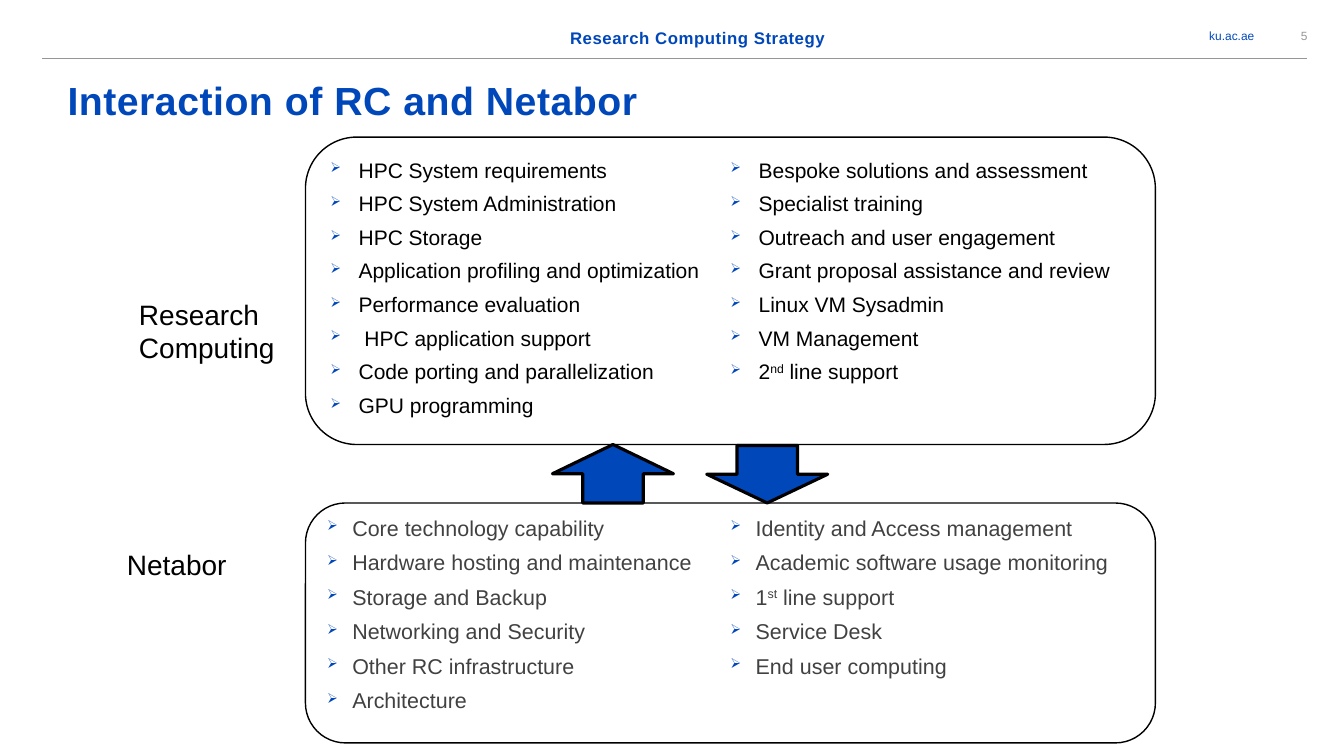
from lxml import etree
from pptx import Presentation
from pptx import util as u
from pptx.dml.color import RGBColor
from pptx.enum import shapes, text
from pptx.oxml import ns

BLUE = RGBColor(0x00, 0x47, 0xBA)
GREY = RGBColor(0x96, 0x96, 0x9A)
DARK = RGBColor(0x41, 0x41, 0x41)
BLACK = RGBColor(0x00, 0x00, 0x00)

LEFT, CENTER, RIGHT = text.PP_ALIGN.LEFT, text.PP_ALIGN.CENTER, text.PP_ALIGN.RIGHT
PANEL_LEFT, PANEL_WIDTH = 3.03, 8.43
NO_INSETS = dict.fromkeys(
    ("margin_left", "margin_top", "margin_right", "margin_bottom"), 0)
MIDDLE = {**NO_INSETS, "vertical_anchor": text.MSO_ANCHOR.MIDDLE}

RESEARCH_TASKS = [
    "HPC System requirements", "HPC System Administration", "HPC Storage",
    "Application profiling and optimization", "Performance evaluation",
    " HPC application support", "Code porting and parallelization",
    "GPU programming", "Bespoke solutions and assessment",
    "Specialist training", "Outreach and user engagement",
    "Grant proposal assistance and review", "Linux VM Sysadmin",
    "VM Management", ("2", "nd", " line support"),
]
NETWORK_TASKS = [
    "Core technology capability", "Hardware hosting and maintenance",
    "Storage and Backup", "Networking and Security",
    "Other RC infrastructure", "Architecture",
    "Identity and Access management", "Academic software usage monitoring",
    ("1", "st", " line support"), "Service Desk", "End user computing",
]


def apply(target, values):
    for name, value in values.items():
        setattr(target, name, value)


def inches(*lengths):
    return [u.Inches(length) for length in lengths]


def set_font(font, size, color, bold=False):
    apply(font, {"name": "Arial", "size": u.Pt(size), "bold": bold})
    font.color.rgb = color


def add_label(page, place, lines, size, color, frame=None, align=LEFT,
              bold=False, tracking=None):
    """Add a text box; tracking is letter spacing in hundredths of a point."""
    box = page.shapes.add_textbox(*inches(*place))
    box.text_frame.word_wrap = True
    apply(box.text_frame, frame or {})
    box.text_frame.text = lines
    for para in box.text_frame.paragraphs:
        para.alignment = align
        for span in para.runs:
            set_font(span.font, size, color, bold)
            if tracking:
                span._r.get_or_add_rPr().set("spc", str(tracking))


def add_rule(page, start, end):
    rule = page.shapes.add_connector(
        shapes.MSO_CONNECTOR.STRAIGHT, *inches(*start, *end))
    rule.line.color.rgb = GREY
    rule.line.width = u.Pt(0.75)
    etree.SubElement(rule._element.spPr, ns.qn("a:effectLst"))


def add_outlined(page, kind, place, line_width, fill=None):
    shape = page.shapes.add_shape(kind, *inches(*place))
    shape.shadow.inherit = False
    if fill is None:
        shape.fill.background()
    else:
        shape.fill.solid()
        shape.fill.fore_color.rgb = fill
    shape.line.color.rgb = BLACK
    shape.line.width = u.Pt(line_width)
    return shape


def add_bullet(para, indent):
    props = para._p.get_or_add_pPr()
    props.set("marL", str(u.Inches(indent)))
    props.set("indent", str(-u.Inches(indent)))
    color = etree.SubElement(props, ns.qn("a:buClr"))
    etree.SubElement(color, ns.qn("a:srgbClr")).set("val", str(BLUE))
    etree.SubElement(props, ns.qn("a:buSzPct")).set("val", "65000")
    etree.SubElement(props, ns.qn("a:buChar")).set("char", "➢")


def add_panel(page, top, height, tasks, size, color, indent, spacing):
    """Add a two-column bulleted panel; a tuple is (text, superscript, text)."""
    panel = add_outlined(page, shapes.MSO_SHAPE.ROUNDED_RECTANGLE,
                         (PANEL_LEFT, top, PANEL_WIDTH, height), 1)
    frame = panel.text_frame
    apply(frame, {"word_wrap": True, "vertical_anchor": text.MSO_ANCHOR.TOP})
    frame._txBody.bodyPr.set("numCol", "2")
    for number, task in enumerate(tasks):
        para = frame.add_paragraph() if number else frame.paragraphs[0]
        add_bullet(para, indent)
        apply(para, {"alignment": LEFT, **spacing})
        if number == 0:
            para.space_before = u.Pt(0)
        parts = (task,) if isinstance(task, str) else task
        for position, words in enumerate(parts):
            span = para.add_run()
            span.text = words
            set_font(span.font, size, color)
            if position == 1:
                span._r.get_or_add_rPr().set("baseline", "30000")


def main():
    deck = Presentation()
    apply(deck, {"slide_width": u.Inches(13.33), "slide_height": u.Inches(7.5)})
    page = deck.slides.add_slide(deck.slide_layouts[6])

    add_label(page, (11.39, 0.22, 1.05, 0.27), "ku.ac.ae", 8.5, BLUE, MIDDLE, RIGHT)
    add_label(page, (12.65, 0.22, 0.57, 0.27), "5", 8.5, GREY, MIDDLE, CENTER)
    add_label(page, (4.57, 0.28, 4.7, 0.2), "Research Computing Strategy",
              12, BLUE, NO_INSETS, CENTER, True, 40)
    add_rule(page, (0.42, 0.58), (12.96, 0.58))
    add_label(page, (0.67, 0.76, 12, 0.47), "Interaction of RC and Netabor",
              28, BLUE, NO_INSETS, LEFT, True, 40)

    add_panel(page, 4.99, 2.38, NETWORK_TASKS, 15.3, DARK, 0.25,
              {"line_spacing": 0.8, "space_before": u.Pt(10)})
    add_label(page, (1.16, 5.38, 2.23, 0.44), "Netabor", 20, BLACK)
    add_panel(page, 1.36, 3.05, RESEARCH_TASKS, 15, BLACK, 0.28,
              {"space_after": u.Pt(6)})
    add_label(page, (1.28, 2.9, 1.56, 0.77), "Research\nComputing", 20, BLACK,
              {"word_wrap": False})

    add_outlined(page, shapes.MSO_SHAPE.UP_ARROW, (5.48, 4.41, 1.2, 0.58), 2.25, BLUE)
    add_outlined(page, shapes.MSO_SHAPE.DOWN_ARROW, (7.01, 4.42, 1.2, 0.57), 2.25, BLUE)
    deck.save("out.pptx")


if __name__ == "__main__":
    main()
